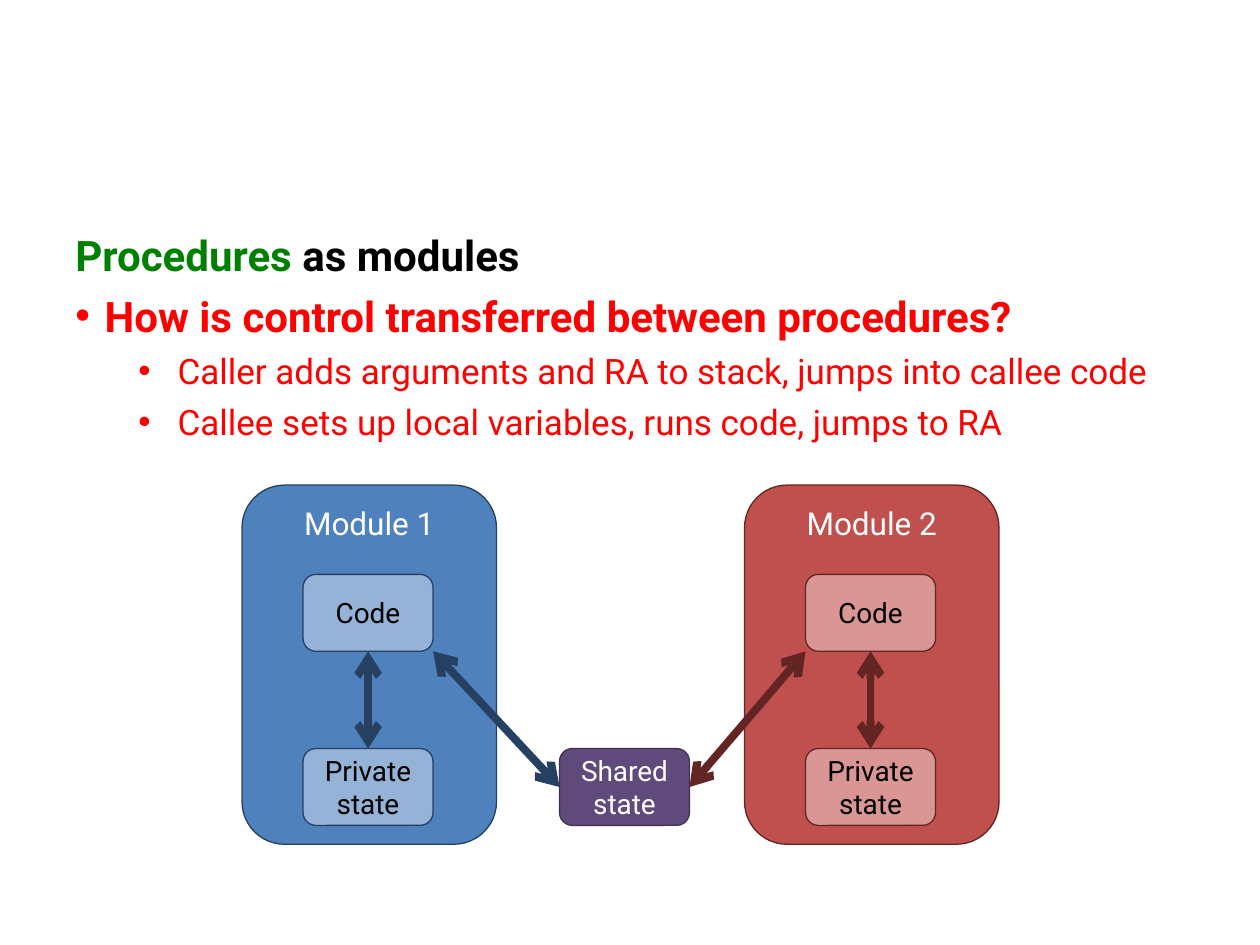
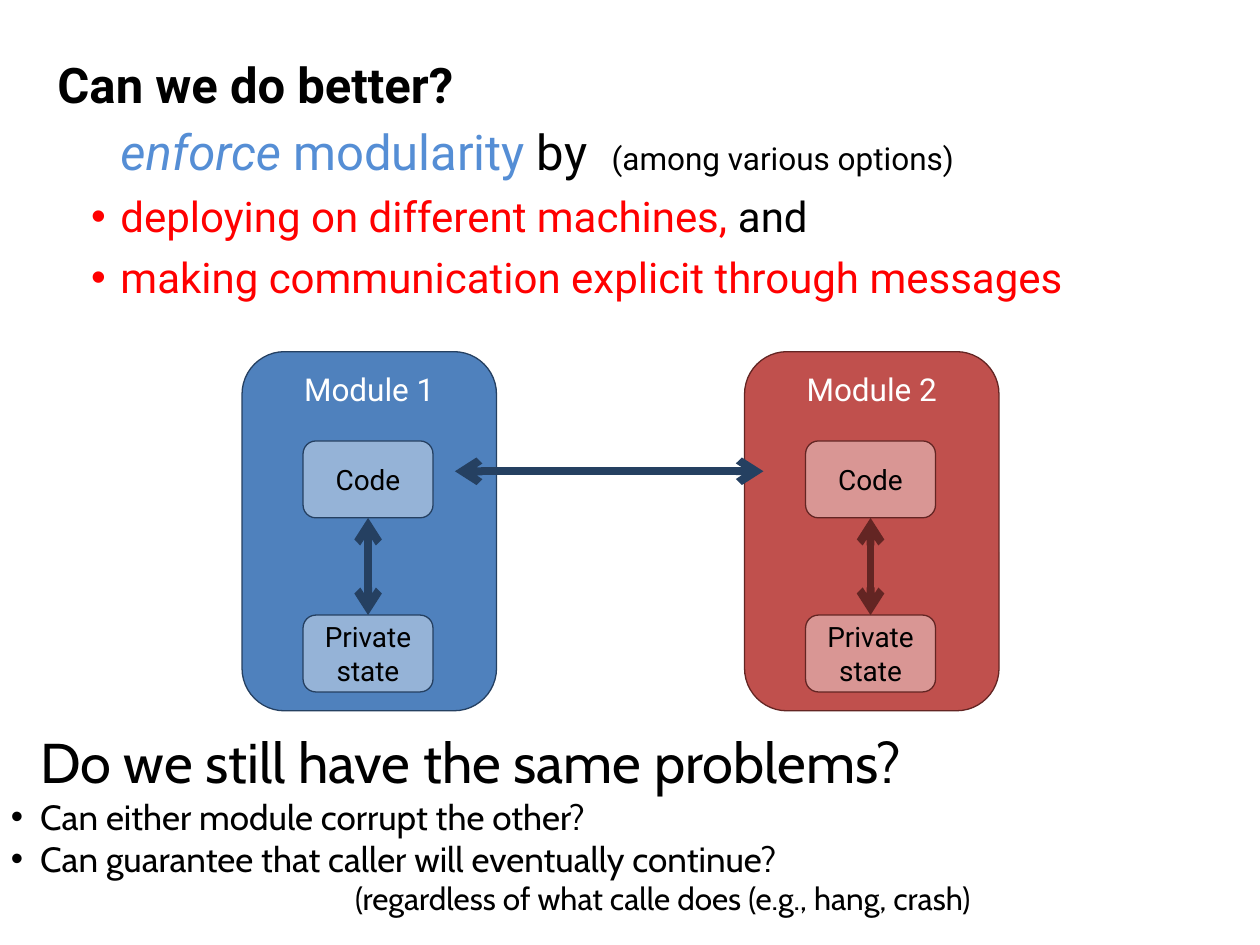
from lxml.etree import SubElement
from pptx import Presentation
from pptx.dml.color import RGBColor
from pptx.enum.shapes import MSO_CONNECTOR, MSO_SHAPE
from pptx.enum.text import MSO_ANCHOR, PP_ALIGN
from pptx.oxml.ns import qn
from pptx.util import Cm, Pt

BLACK, WHITE, RED, GREEN = "000000", "FFFFFF", "FF0000", "008000"
SKY, PURPLE, PLUM = "558ED5", "604A7B", "403152"
NAVY, MAROON = "254061", "632523"
SANS, ROUND = "Roboto", "Cabin"

# name, left edge, fill, inner fill, line
MODULES = [
    ("Module 1", 4.88, "4F81BD", "95B3D7", NAVY),
    ("Module 2", 15.01, "C0504D", "D99694", MAROON),
]
MOD_W, MOD_H = 5.13, 7.24
BOX_W, BOX_H = 2.62, 1.55
BOX_DX = 1.23
CODE_DY, STATE_DY = 1.8, 5.31
HANG = 0.59


def rgb(code):
    return RGBColor.from_string(code)


def style(font, size=None, color=None, face=None, bold=None, italic=None):
    """Set only the font traits that are given."""
    if size:
        font.size = Pt(size)
    if color:
        font.color.rgb = rgb(color)
    if face:
        font.name = face
    if bold is not None:
        font.bold = bold
    if italic is not None:
        font.italic = italic


def indent(para, left, hang, bullet):
    """Indent a paragraph; bullet is the colour of its dot, or None."""
    props = para._p.get_or_add_pPr()
    props.set("marL", str(Cm(left)))
    props.set("indent", str(-Cm(hang)))
    if bullet:
        tint = SubElement(props, qn("a:buClr"))
        SubElement(tint, qn("a:srgbClr"), val=bullet)
        SubElement(props, qn("a:buFont"), typeface="Arial")
        SubElement(props, qn("a:buChar"), char="•")
    else:
        SubElement(props, qn("a:buNone"))


def add_text(slide, left, top, width, height):
    frame = slide.shapes.add_textbox(
        Cm(left), Cm(top), Cm(width), Cm(height)).text_frame
    frame.word_wrap = True
    return frame


def add_para(frame, runs, left=0, hang=0, bullet=None, before=0, **font):
    """Append a paragraph of (text, traits) runs to a frame."""
    first = frame.paragraphs[0]
    para = frame.add_paragraph() if first.runs else first
    indent(para, left, hang, bullet)
    if before:
        para.space_before = Pt(before)
    style(para.font, **font)
    for text, traits in runs:
        run = para.add_run()
        run.text = text
        style(run.font, **traits)
    return para


def add_box(slide, text, left, top, width, height, fill, line,
            size=16, color=BLACK, anchor=MSO_ANCHOR.MIDDLE):
    box = slide.shapes.add_shape(
        MSO_SHAPE.ROUNDED_RECTANGLE, Cm(left), Cm(top), Cm(width), Cm(height))
    box.shadow.inherit = False
    box.fill.solid()
    box.fill.fore_color.rgb = rgb(fill)
    box.line.color.rgb = rgb(line)
    box.line.width = Pt(0.75)
    frame = box.text_frame
    frame.word_wrap = True
    frame.vertical_anchor = anchor
    frame.text = text
    for para in frame.paragraphs:
        para.alignment = PP_ALIGN.CENTER
        style(para.font, size, color, SANS)


def add_arrow(slide, x1, y1, x2, y2, color):
    """Draw a thick line with a head at both ends."""
    link = slide.shapes.add_connector(
        MSO_CONNECTOR.STRAIGHT, Cm(x1), Cm(y1), Cm(x2), Cm(y2))
    link.line.color.rgb = rgb(color)
    link.line.width = Pt(4.5)
    stroke = link.line._get_or_add_ln()
    for end in ("a:headEnd", "a:tailEnd"):
        SubElement(stroke, qn(end), type="arrow")
    SubElement(link._element.spPr, qn("a:effectLst"))


def add_modules(slide, top):
    for name, left, fill, inner, line in MODULES:
        add_box(slide, name, left, top, MOD_W, MOD_H, fill, line,
                18, WHITE, MSO_ANCHOR.TOP)
        for text, down in (("Code", CODE_DY), ("Private\nstate", STATE_DY)):
            add_box(slide, text, left + BOX_DX, top + down, BOX_W, BOX_H,
                    inner, line)
        mid = left + BOX_DX + BOX_W / 2
        add_arrow(slide, mid, top + CODE_DY + BOX_H, mid, top + STATE_DY, line)


def add_shared(slide, top):
    """Place the shared state and join it to both code boxes."""
    left, y = 11.28, top + STATE_DY
    add_box(slide, "Shared\nstate", left, y, BOX_W, BOX_H, PURPLE, PLUM,
            color=WHITE)
    low, mid = top + CODE_DY + BOX_H, y + BOX_H / 2
    one, two = (mod[1] + BOX_DX for mod in MODULES)
    add_arrow(slide, one + BOX_W, low, left, mid, NAVY)
    add_arrow(slide, two, low, left + BOX_W, mid, MAROON)


def build_calls(slide):
    frame = add_text(slide, 1.27, 4.5, 22.86, 12.57)
    add_para(frame, [("Procedures ", {"color": GREEN}),
                     ("as modules", {"color": BLACK})],
             size=24, face=SANS, bold=True)
    add_para(frame, [("How is control transferred between procedures?", {})],
             HANG, HANG, RED, 6, size=24, color=RED, face=SANS, bold=True)
    for text in (
            "Caller adds arguments and RA to stack, jumps into callee code",
            "Callee sets up local variables, runs code, jumps to RA"):
        add_para(frame, [(text, {})], 2.06, 0.79, RED, 5,
                 size=20, color=RED, face=SANS)
    top = 9.78
    add_modules(slide, top)
    add_shared(slide, top)


def build_split(slide):
    frame = add_text(slide, 0.91, 0.98, 23.83, 15.75)
    add_para(frame, [("Can we do better?", {})],
             size=28, color=BLACK, face=SANS, bold=True)
    aim = add_para(frame, [
        ("enforce", {"size": 28, "color": SKY, "italic": True}),
        (" modularity ", {"size": 28, "color": SKY}),
        ("by", {"size": 28, "color": BLACK}),
        (" ", {"size": 28}),
        ("(among various options)", {"size": 18, "color": BLACK}),
    ], 1.27, before=4.5, face=SANS)
    aim.runs[3]._r.get_or_add_rPr().set("spc", "700")
    for runs in (
            [("deploying on different machines, ", {"color": RED}),
             ("and", {"color": BLACK})],
            [("making communication explicit through messages",
              {"color": RED})]):
        add_para(frame, runs, 1.27, HANG, RED, 6, size=24, face=SANS)

    add_modules(slide, 7.09)
    add_arrow(slide, 9.17, 9.5, 15.39, 9.5, NAVY)

    asks = add_text(slide, -0.71, 14.55, 26.11, 4.17)
    plain = {"color": BLACK, "face": ROUND}
    add_para(asks, [("Do we still have the same problems?", {})],
             1.27, size=32, **plain)
    for text in ("Can either module corrupt the other?",
                 "Can guarantee that caller will eventually continue?"):
        add_para(asks, [(text, {})], 1.27, HANG, BLACK, size=20, **plain)
    add_para(asks,
             [("(regardless of what calle does (e.g., hang, crash)", {})],
             7.62, size=18, **plain)


def main():
    deck = Presentation()
    deck.slide_width, deck.slide_height = Cm(25.4), Cm(19.05)
    for build in (build_calls, build_split):
        build(deck.slides.add_slide(deck.slide_layouts[6]))
    deck.save("out.pptx")


if __name__ == "__main__":
    main()
